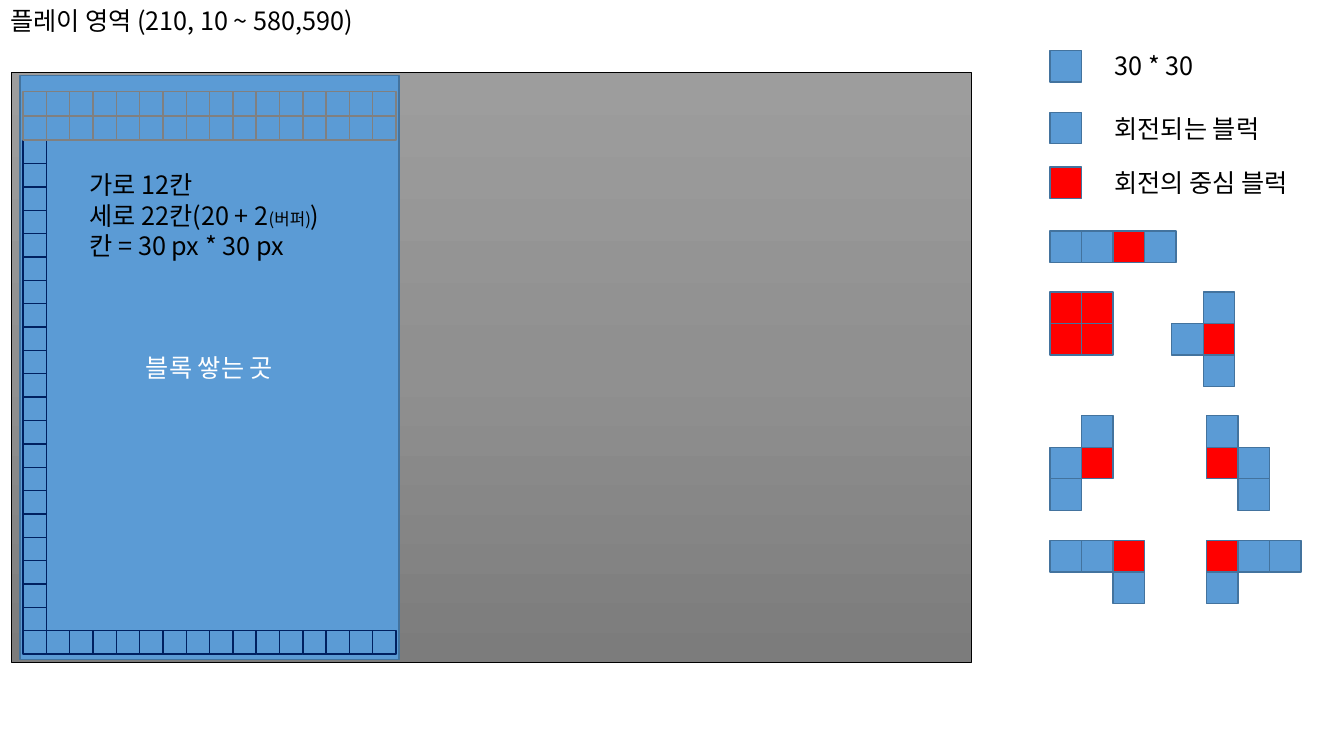
from copy import deepcopy
from dataclasses import dataclass

from lxml.etree import SubElement
from pptx import Presentation
from pptx.dml.color import RGBColor as RGB
from pptx.enum.shapes import MSO_SHAPE as SHAPE
from pptx.enum.text import MSO_ANCHOR as ANCHOR, MSO_AUTO_SIZE as AUTO, PP_ALIGN as ALIGN
from pptx.oxml.ns import qn
from pptx.util import Inches, Pt


@dataclass(frozen=True)
class Theme:
    """Colours, font and type sizes of the slide."""
    font: str = "Noto Sans CJK KR"
    size: int = 18
    small: int = 12
    ink: str = "000000"
    light: str = "FFFFFF"
    block: str = "5B9BD5"
    pivot: str = "FF0000"
    edge: str = "43739E"
    wall: str = "002060"
    buffer: str = "808080"
    board: tuple = ("9D9D9D", "909090", "7C7C7C")


T = Theme()
FILLS = {"b": T.block, "r": T.pivot}
COLS, ROWS = 16, 22
BLOCK = 30
LEFT, RIGHT, LABEL = 1000, 1149, 1052
LEGEND = [
    ("b", 48, "30 * 30", 43, 100),
    ("b", 107, "회전되는 블럭", 103, 174),
    ("r", 159, "회전의 중심 블럭", 155, 206),
]
PIECES = [
    (LEFT, 220, ["bbrb"]),
    (LEFT, 278, ["rr", "rr"]),
    (1116, 278, [".b", "br", ".b"]),
    (LEFT, 396, [".b", "br", "b."]),
    (RIGHT, 396, ["b.", "rb", ".b"]),
    (LEFT, 515, ["bbr", "..b"]),
    (RIGHT, 515, ["rbb", "b.."]),
]


def px(n):
    """Convert grid pixels, 1280 by 720 to the slide, to a length."""
    return Inches(n / 96)


def apply(obj, **values):
    """Set attributes of an object from format values."""
    for name, value in values.items():
        setattr(obj, name, value)


def add_run(p, text, color=T.ink, size=T.size):
    """Add a formatted run with Latin and East Asian fonts."""
    r = p.add_run()
    r.text = text
    apply(r.font, name=T.font, size=Pt(size), bold=False)
    r.font.color.rgb = RGB.from_string(color)
    SubElement(r.font._element, qn("a:ea"), typeface=T.font)


def write(sp, lines, wrap=False):
    """Write lines, each a list of text and size pairs, into a shape."""
    tf = sp.text_frame
    apply(tf, word_wrap=wrap, auto_size=AUTO.SHAPE_TO_FIT_TEXT, vertical_anchor=ANCHOR.TOP)
    for i, line in enumerate(lines):
        p = tf.add_paragraph() if i else tf.paragraphs[0]
        apply(p, alignment=ALIGN.LEFT, line_spacing=1.0)
        for text, size in line:
            add_run(p, text, size=size)


def add_text(s, box, lines, wrap=False):
    """Add a text box."""
    write(s.shapes.add_textbox(*map(px, box)), lines, wrap)


def add_rect(shapes, box, fill, edge, width=1):
    """Add a rectangle with a plain fill and outline."""
    sp = shapes.add_shape(SHAPE.RECTANGLE, *map(px, box))
    sp.shadow.inherit = False
    sp.fill.solid()
    sp.fill.fore_color.rgb = RGB.from_string(fill)
    sp.line.color.rgb = RGB.from_string(edge)
    sp.line.width = Pt(width)
    return sp


def add_cells(s, left, top, pattern, edge=T.edge, w=BLOCK, h=BLOCK):
    """Add a group of cells from rows of fill letters."""
    shapes = s.shapes.add_group_shape().shapes
    for row, letters in enumerate(pattern):
        for col, letter in enumerate(letters):
            if letter in FILLS:
                add_rect(shapes, (left + col * w, top + row * h, w, h), FILLS[letter], edge)


def add_board(s):
    """Add the board with its vertical grey gradient."""
    sp = add_rect(s.shapes, (11, 69, 914, 562), T.board[0], T.ink, 0.5)
    sp.fill.gradient()
    sp.fill.gradient_angle = 270
    first = sp.fill.gradient_stops[0]._gs
    first.addnext(deepcopy(first))
    for stop, color, position in zip(sp.fill.gradient_stops, T.board, (0, 0.5, 1)):
        stop.color.rgb = RGB.from_string(color)
        stop.position = position


def add_play_area(s):
    """Add the stacking area with its notes, walls and buffer rows."""
    sp = add_rect(s.shapes, (19, 72, 361, 556), T.block, T.edge)
    sp.text_frame.vertical_anchor = ANCHOR.MIDDLE
    p = sp.text_frame.paragraphs[0]
    p.alignment = ALIGN.CENTER
    add_run(p, "블록 쌓는 곳", T.light)
    add_text(s, (76, 157, 265, 97), [
        [("가로 12칸", T.size)],
        [("세로 22칸(20 + 2", T.size), ("(버퍼)", T.small), (")", T.size)],
        [("칸 = 30 px * 30 px", T.size)],
    ], wrap=True)
    wall = ["b"] * (ROWS - 1) + ["b" * COLS]
    add_cells(s, 22, 133.5, wall, T.wall, 22.2, 22.25)
    add_cells(s, 22, 87.3, ["b" * COLS] * 2, T.buffer, 22.2, 23.1)


def main():
    """Build and save the slide."""
    prs = Presentation()
    apply(prs, slide_width=px(1280), slide_height=px(720))
    s = prs.slides.add_slide(prs.slide_layouts[5])
    title = s.shapes.title
    apply(title, left=0, top=0, width=px(372), height=px(38.5))
    write(title, [[("플레이 영역 (210, 10 ~ 580,590)", T.size)]])
    add_board(s)
    add_play_area(s)
    for left, top, pattern in PIECES:
        add_cells(s, left, top, pattern)
    for letter, top, label, label_top, width in LEGEND:
        add_rect(s.shapes, (LEFT, top, BLOCK, BLOCK), FILLS[letter], T.edge)
        add_text(s, (LABEL, label_top, width, 38.5), [[(label, T.size)]])
    prs.save("out.pptx")


main()
